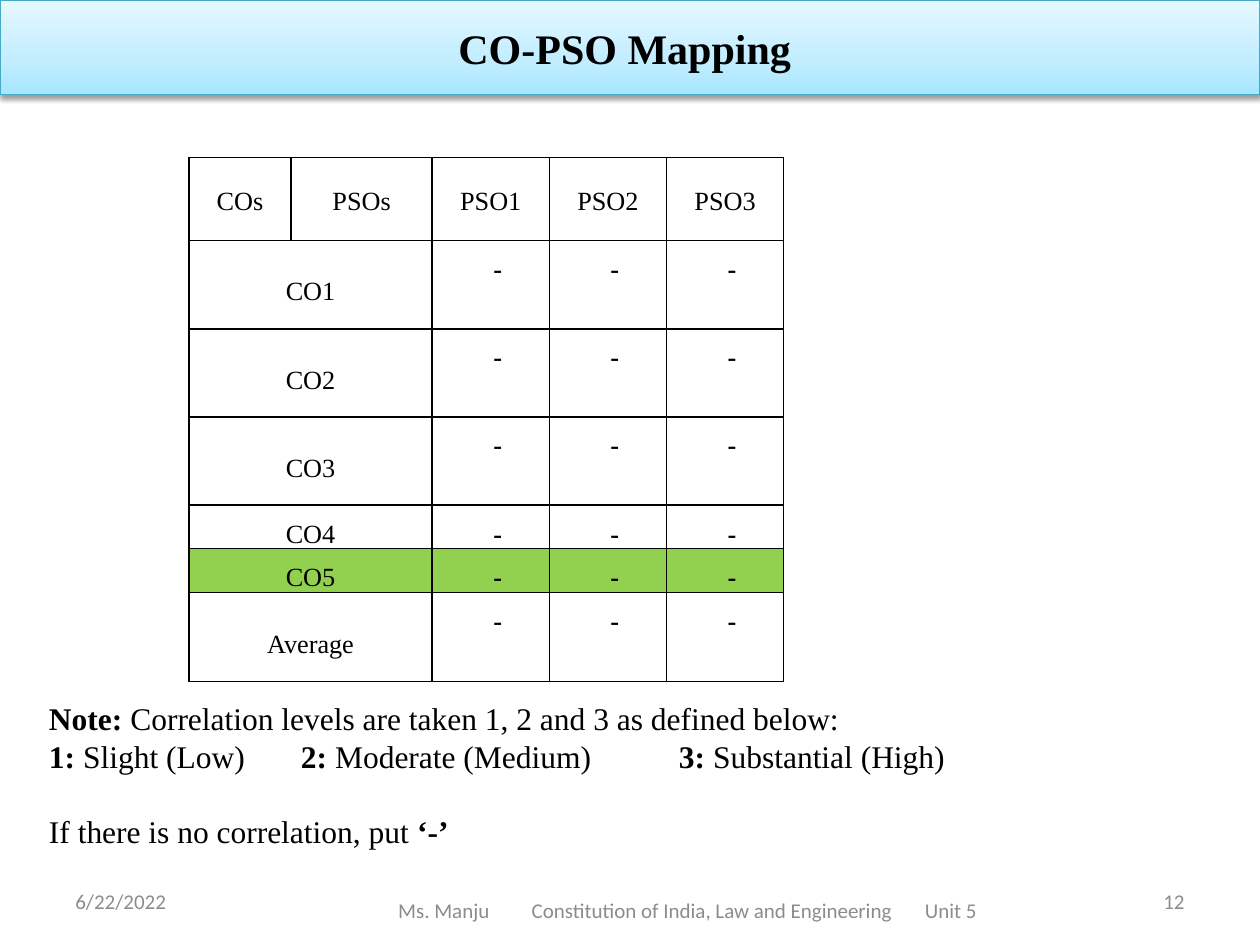
from typing import NamedTuple

import pptx
import pptx.dml.color
import pptx.enum.shapes
import pptx.enum.text
import pptx.oxml
import pptx.oxml.ns
import pptx.util

Inches = pptx.util.Inches
Pt = pptx.util.Pt
ALIGN = pptx.enum.text.PP_ALIGN
MID = pptx.enum.text.MSO_ANCHOR.MIDDLE
TOP = pptx.enum.text.MSO_ANCHOR.TOP
NS = pptx.oxml.ns.nsdecls("a")
SERIF = "Times New Roman"
HEX = {"ink": "000000", "gray": "8C8C8C", "edge": "46AAC5", "white": "FFFFFF",
       "green": "92D050", "deep": "A7E6FF", "mid": "C1EDFF", "pale": "E7F8FF"}


class Font(NamedTuple):
    name: str
    size: float
    color: str


class Row(NamedTuple):
    name: str
    high: float
    fill: str | None = None


class Foot(NamedTuple):
    text: str
    left: float
    wide: float
    high: float
    align: ALIGN
    inset: float = 0.1
    tabs: tuple[float, ...] = ()


HEAD = Font(SERIF, 24, "ink")
CELL = Font(SERIF, 15, "ink")
NOTE = Font(SERIF, 18, "ink")
SMALL = Font("Calibri", 12, "gray")
COLS = [0.81, 1.12, 0.93, 0.93, 0.93]
TITLES = ["COs", "PSOs", "PSO1", "PSO2", "PSO3"]
ROWS = [Row("CO1", 0.7, "white"), Row("CO2", 0.7, "white"), Row("CO3", 0.7),
        Row("CO4", 0.33), Row("CO5", 0.33, "green"), Row("Average", 0.71)]
NOTES = [
    [("Note: ", True),
     ("Correlation levels are taken 1, 2 and 3 as defined below:", False)],
    [("1: ", True), ("Slight (Low)", False), ("\t2: ", True),
     ("Moderate (Medium)", False), ("\t3: ", True), ("Substantial (High)", False)],
    [("If there is no correlation, put", False), (" ‘-’", True)],
]
FEET = [
    Foot("6/22/2022", 0.5, 2.33, 0.4, ALIGN.LEFT),
    Foot("Ms. Manju\tConstitution of India, Law and Engineering\tUnit 5",
         2.42, 6.08, 0.55, ALIGN.LEFT, 0.74, (1.06, 4.18)),
    Foot("12", 7.17, 2.33, 0.4, ALIGN.RIGHT),
]


def rgb(key: str) -> pptx.dml.color.RGBColor:
    return pptx.dml.color.RGBColor.from_string(HEX[key])


def add_run(para, text: str, font: Font, bold: bool = False) -> None:
    run = para.add_run()
    run.text = text
    run.font.name = font.name
    run.font.size = Pt(font.size)
    run.font.bold = bold
    run.font.color.rgb = rgb(font.color)


def add_tabs(para, stops: tuple[float, ...]) -> None:
    tabs = "".join(f'<a:tab pos="{Inches(stop)}" algn="l"/>' for stop in stops)
    para._p.get_or_add_pPr().append(
        pptx.oxml.parse_xml(f"<a:tabLst {NS}>{tabs}</a:tabLst>"))


def add_box(slide, left: float, top: float, wide: float, high: float):
    box = slide.shapes.add_textbox(Inches(left), Inches(top), Inches(wide), Inches(high))
    frame = box.text_frame
    frame.word_wrap = True
    frame.vertical_anchor = MID
    return frame


def draw_title(slide) -> None:
    bar = slide.shapes.add_shape(pptx.enum.shapes.MSO_SHAPE.RECTANGLE,
                                 0, 0, Inches(10), Inches(0.75))
    bar.fill.gradient()
    bar.fill.gradient_angle = 90
    stops = bar._element.spPr.find(".//" + pptx.oxml.ns.qn("a:gsLst"))
    for stop in list(stops):
        stops.remove(stop)
    for pos, key in [(0, "deep"), (35, "mid"), (100, "pale")]:
        stops.append(pptx.oxml.parse_xml(
            f'<a:gs {NS} pos="{pos * 1000}"><a:srgbClr val="{HEX[key]}"/></a:gs>'))
    bar.line.color.rgb = rgb("edge")
    bar.line.width = Pt(0.75)
    bar.shadow.inherit = False
    bar._element.spPr.find(pptx.oxml.ns.qn("a:effectLst")).append(pptx.oxml.parse_xml(
        f'<a:outerShdw {NS} blurRad="{Pt(3.1)}" dist="{Pt(1.6)}" dir="5400000" '
        f'rotWithShape="0"><a:srgbClr val="{HEX["ink"]}"><a:alpha val="38000"/>'
        '</a:srgbClr></a:outerShdw>'))
    frame = bar.text_frame
    frame.vertical_anchor = MID
    para = frame.paragraphs[0]
    para.alignment = ALIGN.CENTER
    add_run(para, "CO-PSO Mapping ", HEAD, True)


def style_cell(cell, fill: str | None) -> None:
    cell.margin_left = cell.margin_right = Inches(0.07)
    cell.margin_top = cell.margin_bottom = 0
    props = cell._tc.get_or_add_tcPr()
    for side in "LRTB":
        props.append(pptx.oxml.parse_xml(
            f'<a:ln{side} {NS} w="{Pt(1)}"><a:solidFill><a:srgbClr val="{HEX["ink"]}"/>'
            f'</a:solidFill></a:ln{side}>'))
    if fill:
        cell.fill.solid()
        cell.fill.fore_color.rgb = rgb(fill)
    else:
        cell.fill.background()


def fill_cell(cell, text: str, space: float, mark: bool = False) -> None:
    cell.vertical_anchor = TOP if mark else MID
    para = cell.text_frame.paragraphs[0]
    para.alignment = ALIGN.CENTER
    para.line_spacing = space
    if mark:
        para._p.get_or_add_pPr().set("marL", str(Inches(0.11)))
    add_run(para, text, CELL, mark)


def draw_table(slide) -> None:
    rows = [Row("", 0.66), *ROWS]
    table = slide.shapes.add_table(
        len(rows), len(COLS), Inches(1.5), Inches(1.25),
        Inches(sum(COLS)), Inches(sum(row.high for row in rows))).table
    table.first_row = table.horz_banding = False
    for col, wide in zip(table.columns, COLS):
        col.width = Inches(wide)
    for i, row in enumerate(rows):
        table.rows[i].height = Inches(row.high)
        for j in range(len(COLS)):
            style_cell(table.cell(i, j), row.fill)
    for j, text in enumerate(TITLES):
        fill_cell(table.cell(0, j), text, 1.15)
    for i, row in enumerate(ROWS, 1):
        table.cell(i, 0).merge(table.cell(i, 1))
        fill_cell(table.cell(i, 0), row.name, 1.5)
        for j in range(2, len(COLS)):
            fill_cell(table.cell(i, j), "-", 1.5, True)


def draw_notes(slide) -> None:
    frame = add_box(slide, 0.29, 5.49, 9.59, 1.31)
    for i, runs in enumerate(NOTES):
        para = frame.add_paragraph() if i else frame.paragraphs[0]
        para.alignment = ALIGN.JUSTIFY
        if i == len(NOTES) - 1:
            para.space_before = Pt(21.5)
        if any("\t" in text for text, _ in runs):
            add_tabs(para, (2, 5))
        for text, bold in runs:
            add_run(para, text, NOTE, bold)


def draw_foot(slide, foot: Foot) -> None:
    frame = add_box(slide, foot.left, 6.95, foot.wide, foot.high)
    frame.margin_left = Inches(foot.inset)
    para = frame.paragraphs[0]
    para.alignment = foot.align
    if foot.tabs:
        add_tabs(para, foot.tabs)
    add_run(para, foot.text, SMALL)


def main() -> None:
    deck = pptx.Presentation()
    deck.slide_width, deck.slide_height = Inches(10), Inches(7.5)
    slide = deck.slides.add_slide(deck.slide_layouts[6])
    draw_title(slide)
    draw_table(slide)
    draw_notes(slide)
    for foot in FEET:
        draw_foot(slide, foot)
    deck.save("out.pptx")


if __name__ == "__main__":
    main()
